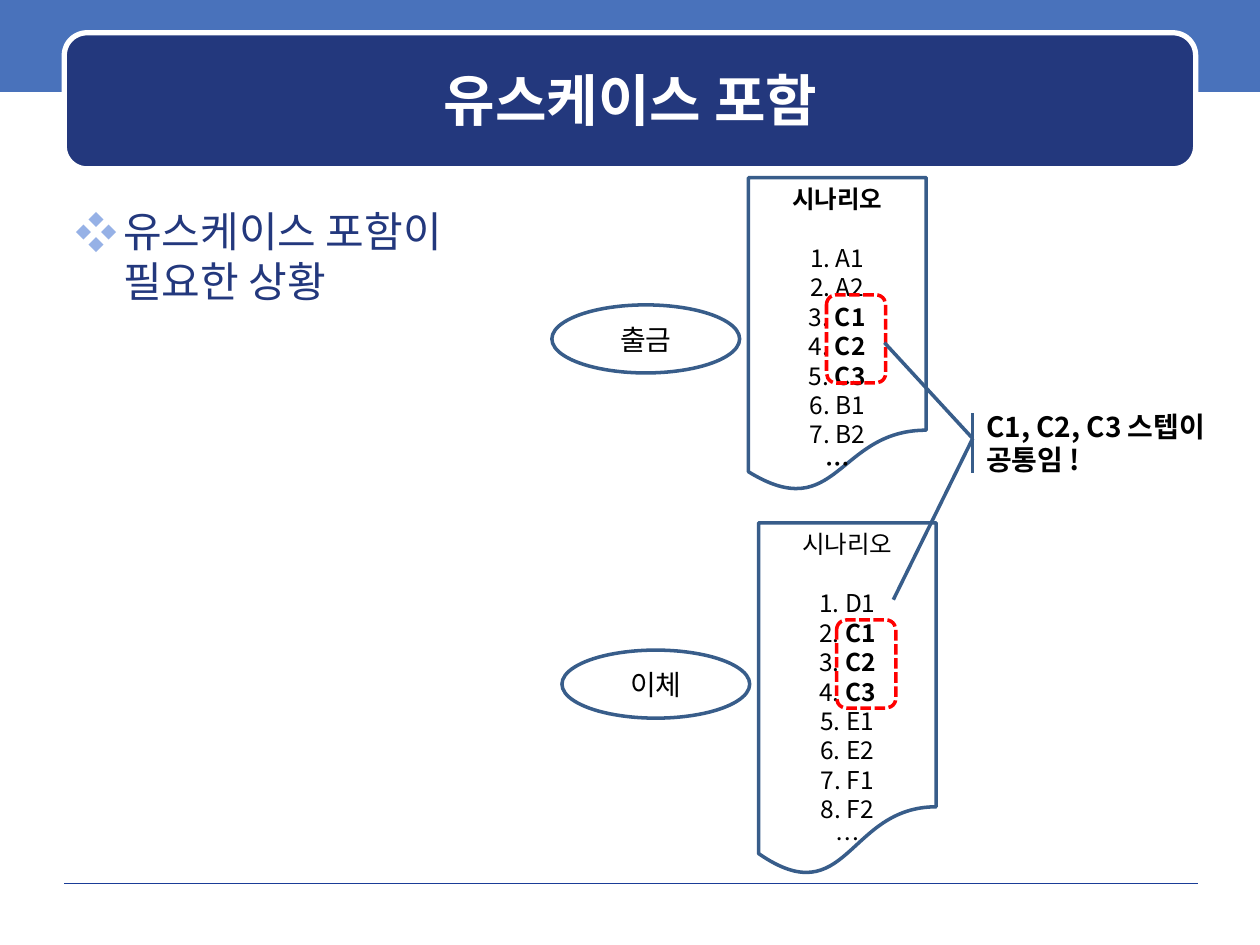
from lxml.etree import SubElement
from pptx import Presentation
from pptx.dml.color import RGBColor
from pptx.enum.dml import MSO_LINE_DASH_STYLE as Dash
from pptx.enum.shapes import MSO_CONNECTOR as Connector, MSO_SHAPE as Shape
from pptx.enum.text import MSO_ANCHOR as Anchor, PP_ALIGN as Align
from pptx.oxml.ns import qn
from pptx.util import Inches, Pt

FONT = "Noto Sans CJK KR"
NAVY, OUTLINE, BLACK, WHITE, RED = "23387D", "385D8A", "000000", "FFFFFF", "FF0000"

TITLE = "유스케이스 포함"
BODY = "유스케이스 포함이 필요한 상황"
NOTE = "C1, C2, C3 스텝이 공통임 !"
SCENARIO = "시나리오"
USE_CASES = [
    {"name": "출금", "offset": (0, 0), "height": 2.5, "bold_ends": True, "box_top": 2.34,
     "steps": ["A1", "A2", "C1", "C2", "C3", "B1", "B2"]},
    {"name": "이체", "offset": (0.08, 2.74), "height": 2.81, "bold_ends": False, "box_top": 4.92,
     "steps": ["D1", "C1", "C2", "C3", "E1", "E2", "F1", "F2"]},
]
CALLOUT_TIP = (7.72, 3.48)
CALLOUT_LINES = [((7.02, 2.72), CALLOUT_TIP), ((7.09, 4.76), CALLOUT_TIP),
                 ((7.72, 3.28), (7.72, 3.75))]


def color(value):
    return RGBColor.from_string(value)


def place(box):
    return [Inches(length) for length in box]


def add_shape(slide, kind, box, fill=None, line=None, width=2):
    shape = slide.shapes.add_shape(kind, *place(box))
    shape.shadow.inherit = False
    if fill:
        shape.fill.solid()
        shape.fill.fore_color.rgb = color(fill)
    else:
        shape.fill.background()
    if line:
        shape.line.color.rgb = color(line)
        shape.line.width = Pt(width)
    else:
        shape.line.fill.background()
    return shape


def add_line(slide, start, end, line, width):
    connector = slide.shapes.add_connector(Connector.STRAIGHT, *place(start + end))
    connector.line.color.rgb = color(line)
    connector.line.width = Pt(width)
    SubElement(connector._element.spPr, qn("a:effectLst"))


def add_bullet(paragraph, symbol, symbol_color, indent):
    properties = paragraph._p.get_or_add_pPr()
    properties.set("marL", str(Inches(indent)))
    properties.set("indent", str(-Inches(indent)))
    bullet_color = SubElement(properties, qn("a:buClr"))
    SubElement(bullet_color, qn("a:srgbClr"), val=symbol_color)
    SubElement(properties, qn("a:buFont"), typeface=FONT)
    SubElement(properties, qn("a:buChar"), char=symbol)


def write(shape, paragraphs, size, text_color=BLACK, align=Align.CENTER, **frame_format):
    frame = shape.text_frame
    frame_format = {"word_wrap": True, "vertical_anchor": Anchor.MIDDLE, **frame_format}
    for name, value in frame_format.items():
        setattr(frame, name, value)
    for index, runs in enumerate(paragraphs):
        paragraph = frame.add_paragraph() if index else frame.paragraphs[0]
        paragraph.alignment = align
        for text, bold in runs:
            run = paragraph.add_run()
            run.text = text
            font_format = {"name": FONT, "size": Pt(size), "bold": bold}
            for name, value in font_format.items():
                setattr(run.font, name, value)
            run.font.color.rgb = color(text_color)
            SubElement(run._r.get_or_add_rPr(), qn("a:ea"), typeface=FONT)
    return frame


def add_use_case(slide, case):
    right, down = case["offset"]
    ellipse = add_shape(slide, Shape.OVAL, (4.38 + right, 2.42 + down, 1.49, 0.54), line=OUTLINE)
    write(ellipse, [[(case["name"], False)]], 16, margin_left=0, margin_right=0)

    document = add_shape(slide, Shape.FLOWCHART_DOCUMENT,
                         (5.94 + right, 1.41 + down, 1.41, case["height"]), line=OUTLINE)
    steps = [[(f"{number}. ", False), (step, step.startswith("C"))]
             for number, step in enumerate(case["steps"], 1)]
    ends = case["bold_ends"]
    frame = write(document, [[(SCENARIO, ends)], *steps, [("…", ends)]], 14,
                  vertical_anchor=Anchor.TOP)
    frame.paragraphs[0].space_after = Pt(17)

    common_steps = add_shape(slide, Shape.ROUNDED_RECTANGLE,
                             (6.56 + right, case["box_top"], 0.47, 0.7), line=RED)
    common_steps.line.dash_style = Dash.SQUARE_DOT


def main():
    presentation = Presentation()
    presentation.slide_width, presentation.slide_height = Inches(10), Inches(7.5)
    slide = presentation.slides.add_slide(presentation.slide_layouts[6])

    add_shape(slide, Shape.RECTANGLE, (0, -0.03, 10, 0.76), fill="4972BB")
    add_line(slide, (0.51, 7.01), (9.51, 7.01), "1A3D97", 0.5)
    add_shape(slide, Shape.ROUNDED_RECTANGLE, (0.51, 0.26, 8.98, 1.08), NAVY, WHITE, 3)

    title = slide.shapes.add_textbox(*place((0.6, 0.35, 8.81, 0.88)))
    write(title, [[(TITLE, True)]], 32, WHITE)

    body = slide.shapes.add_textbox(*place((0.5, 1.58, 3.8, 5.33)))
    add_bullet(body.text_frame.paragraphs[0], "❖", "96B1E6", 0.38)
    write(body, [[(BODY, False)]], 24, NAVY, Align.LEFT, vertical_anchor=Anchor.TOP)

    for case in USE_CASES:
        add_use_case(slide, case)

    for start, end in CALLOUT_LINES:
        add_line(slide, start, end, OUTLINE, 2)
    note = slide.shapes.add_textbox(*place((7.73, 3.28, 2.11, 0.47)))
    write(note, [[(NOTE, True)]], 16, align=Align.LEFT)

    presentation.save("out.pptx")


if __name__ == "__main__":
    main()
